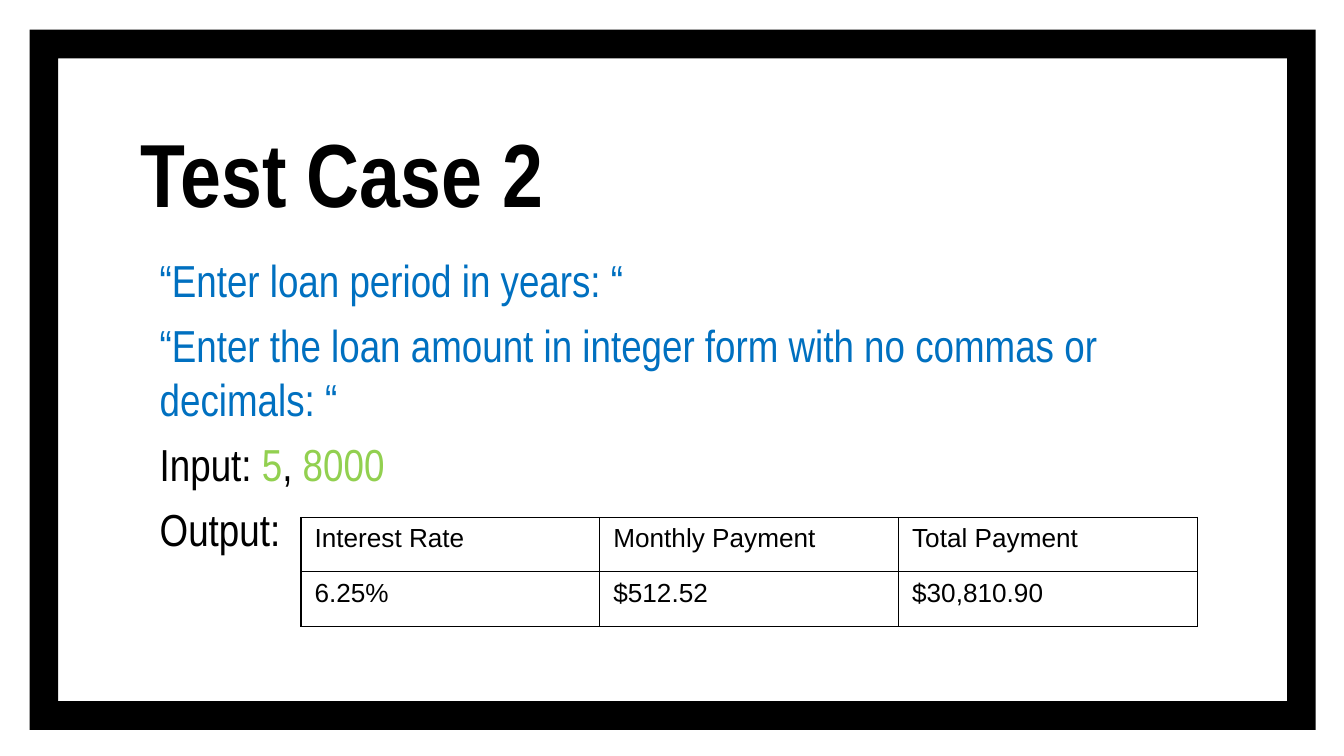
from typing import NamedTuple

from lxml.etree import SubElement
from pptx import Presentation
from pptx.dml.color import RGBColor
from pptx.enum.shapes import MSO_SHAPE
from pptx.enum.text import MSO_ANCHOR
from pptx.oxml.ns import qn
from pptx.util import Inches, Pt

COLORS = {"black": "000000", "blue": "0070C0", "green": "92D050"}
NARROW = "Arial Narrow"
WIDTH = Inches(10)
HEIGHT = WIDTH * 9 // 16


class Box(NamedTuple):
    left: float
    top: float
    width: float
    height: float

    def place(self) -> list:
        return [Inches(side) for side in self]


class Run(NamedTuple):
    text: str
    color: str = "black"


FRAME = Box(0.22, 0.22, 9.57, 5.21)
TITLE = Box(0.95, 0.29, 5.57, 1.49)
BODY = Box(0.95, 1.78, 8.24, 3.13)
TABLE = Box(2.24, 3.85, 6.67, 0.81)

LINES = [
    [Run("“Enter loan period in years: “", "blue")],
    [Run("“Enter the loan amount in integer form with no commas or decimals: “", "blue")],
    [Run("Input: "), Run("5", "green"), Run(","), Run(" 8000", "green")],
    [Run("Output:")],
]
ROWS = [
    ["Interest Rate", "Monthly Payment", "Total Payment"],
    ["6.25%", "$512.52", "$30,810.90"],
]


def rgb(name: str) -> RGBColor:
    return RGBColor.from_string(COLORS[name])


def write(para, text: str, *, size: float, font: str = NARROW,
          color: str = "black", bold: bool = False) -> None:
    run = para.add_run()
    run.text = text
    run.font.size = Pt(size)
    run.font.name = font
    run.font.bold = bold
    run.font.color.rgb = rgb(color)


def add_box(slide, box: Box, anchor: MSO_ANCHOR):
    frame = slide.shapes.add_textbox(*box.place()).text_frame
    frame.word_wrap = True
    frame.vertical_anchor = anchor
    frame.margin_left = frame.margin_right = Inches(0.1)
    frame.margin_top = frame.margin_bottom = Inches(0.1)
    return frame


def add_frame(slide, box: Box) -> None:
    shape = slide.shapes.add_shape(MSO_SHAPE.FRAME, *box.place())
    shape.adjustments[0] = 0.041
    shape.shadow.inherit = False
    shape.fill.solid()
    shape.fill.fore_color.rgb = rgb("black")
    shape.line.fill.background()


def add_body(slide, box: Box, lines: list[list[Run]]) -> None:
    frame = add_box(slide, box, MSO_ANCHOR.TOP)
    for i, line in enumerate(lines):
        para = frame.add_paragraph() if i else frame.paragraphs[0]
        para.space_before = Pt(6)
        props = para._p.get_or_add_pPr()
        props.set("marL", str(Inches(0.14)))
        props.set("indent", "0")
        for run in line:
            write(para, run.text, size=24, color=run.color)


def add_edges(cell) -> None:
    """Draw a thin black border on all four sides of a cell."""
    props = cell._tc.get_or_add_tcPr()
    for side in ("lnL", "lnR", "lnT", "lnB"):
        edge = SubElement(props, qn(f"a:{side}"), w=str(Pt(0.75)))
        fill = SubElement(edge, qn("a:solidFill"))
        SubElement(fill, qn("a:srgbClr"), val=COLORS["black"])


def add_grid(slide, box: Box, rows: list[list[str]]) -> None:
    table = slide.shapes.add_table(len(rows), len(rows[0]), *box.place()).table
    table.first_row = table.horz_banding = False
    for r, row in enumerate(rows):
        for c, text in enumerate(row):
            cell = table.cell(r, c)
            add_edges(cell)
            cell.fill.background()
            write(cell.text_frame.paragraphs[0], text, size=14, font="Arial")


def main() -> None:
    deck = Presentation()
    deck.slide_width, deck.slide_height = WIDTH, HEIGHT
    slide = deck.slides.add_slide(deck.slide_layouts[6])
    add_frame(slide, FRAME)
    title = add_box(slide, TITLE, MSO_ANCHOR.BOTTOM)
    write(title.paragraphs[0], "Test Case 2", size=48, bold=True)
    add_body(slide, BODY, LINES)
    add_grid(slide, TABLE, ROWS)
    deck.save("out.pptx")


if __name__ == "__main__":
    main()
